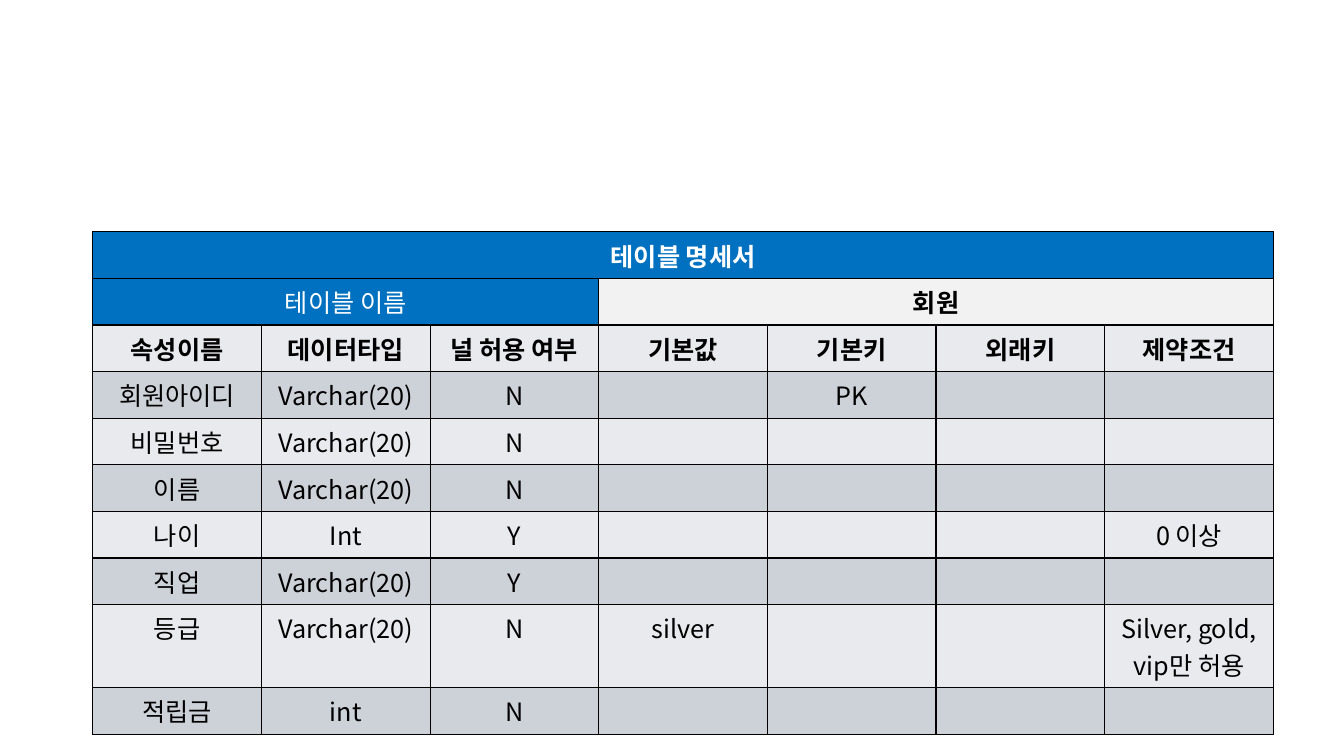
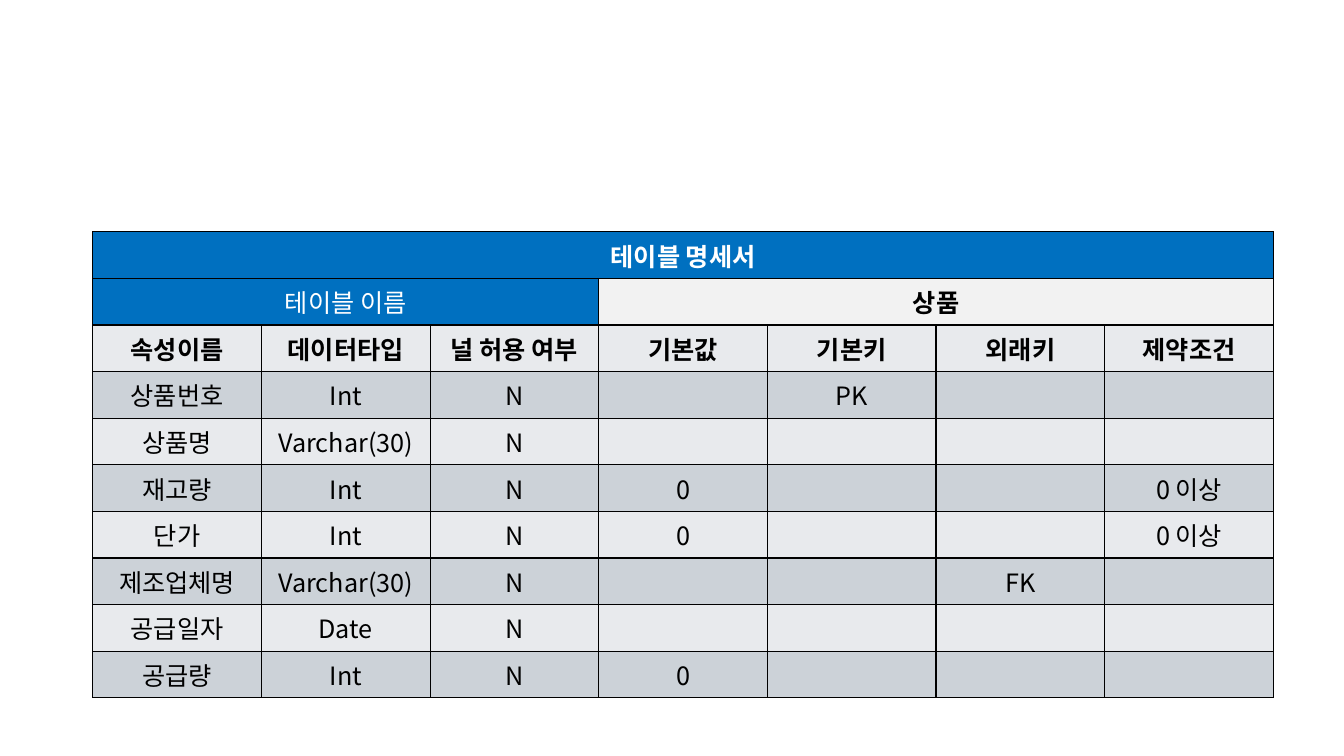
from dataclasses import dataclass

from lxml import etree
from pptx import Presentation
from pptx.dml.color import RGBColor
from pptx.enum.text import PP_ALIGN
from pptx.oxml.ns import qn
from pptx.util import Inches, Pt

CENTER = PP_ALIGN.CENTER
BLANK_LAYOUT = 6
BORDER_SIDES = ("a:lnL", "a:lnR", "a:lnT", "a:lnB")


@dataclass(frozen=True)
class Theme:
    font: str = "Noto Sans CJK KR"
    size: int = 18
    border_width: int = 1
    border: str = "000000"
    text: str = "000000"
    inverse: str = "FFFFFF"
    accent: str = "0070C0"
    name_fill: str = "F2F2F2"
    light: str = "E8EAED"
    dark: str = "CCD2D8"


TITLE = "테이블 명세서"
NAME_LABEL = "테이블 이름"
HEADERS = ["속성이름", "데이터타입", "널 허용 여부", "기본값", "기본키", "외래키", "제약조건"]
COLS = len(HEADERS)
NAME_COL = 3

LEFT, TOP, WIDTH = 0.92, 2.3, 11.71
ROW_HEIGHT, TALL_ROW_HEIGHT = 0.46, 0.82

# Table name, attribute rows, indexes of attributes that need two lines
SPECS = [
    ("회원", [
        ["회원아이디", "Varchar(20)", "N", "", "PK", "", ""],
        ["비밀번호", "Varchar(20)", "N", "", "", "", ""],
        ["이름", "Varchar(20)", "N", "", "", "", ""],
        ["나이", "Int", "Y", "", "", "", "0 이상"],
        ["직업", "Varchar(20)", "Y", "", "", "", ""],
        ["등급", "Varchar(20)", "N", "silver", "", "", "Silver, gold, vip만 허용"],
        ["적립금", "int", "N", "", "", "", ""],
    ], {5}),
    ("상품", [
        ["상품번호", "Int", "N", "", "PK", "", ""],
        ["상품명", "Varchar(30)", "N", "", "", "", ""],
        ["재고량", "Int", "N", "0", "", "", "0 이상"],
        ["단가", "Int", "N", "0", "", "", "0 이상"],
        ["제조업체명", "Varchar(30)", "N", "", "", "FK", ""],
        ["공급일자", "Date", "N", "", "", "", ""],
        ["공급량", "Int", "N", "0", "", "", ""],
    ], set()),
]


class Deck:
    def __init__(self, theme):
        self.theme = theme
        self.prs = Presentation()
        self.prs.slide_width, self.prs.slide_height = Inches(13.33), Inches(7.5)
        self.s = None

    def add_slide(self):
        self.s = self.prs.slides.add_slide(self.prs.slide_layouts[BLANK_LAYOUT])

    def add_grid(self, heights):
        """Add an unstyled table with equal columns and the given row heights."""
        frame = self.s.shapes.add_table(len(heights), COLS, Inches(LEFT), Inches(TOP),
                                        Inches(WIDTH), Inches(sum(heights)))
        table = frame.table
        table.first_row = table.horz_banding = False
        for row, height in zip(table.rows, heights):
            row.height = Inches(height)
        for cell in table.iter_cells():
            self.add_borders(cell)
        return table

    def add_borders(self, cell):
        tc_pr = cell._tc.get_or_add_tcPr()
        for side in BORDER_SIDES:
            ln = etree.SubElement(tc_pr, qn(side), w=str(Pt(self.theme.border_width)))
            fill = etree.SubElement(ln, qn("a:solidFill"))
            etree.SubElement(fill, qn("a:srgbClr"), val=self.theme.border)

    def fill_cell(self, cell, text, fill, color=None, bold=False):
        t = self.theme
        cell.fill.solid()
        cell.fill.fore_color.rgb = RGBColor.from_string(fill)
        if not text:
            return
        p = cell.text_frame.paragraphs[0]
        p.alignment = CENTER
        r = p.add_run()
        r.text = text
        for key, value in {"name": t.font, "size": Pt(t.size), "bold": bold}.items():
            setattr(r.font, key, value)
        r.font.color.rgb = RGBColor.from_string(color or t.text)
        etree.SubElement(r._r.get_or_add_rPr(), qn("a:ea"), typeface=t.font)

    def add_table_spec(self, name, attributes, tall):
        t = self.theme
        heights = [ROW_HEIGHT] * 3
        heights += [TALL_ROW_HEIGHT if i in tall else ROW_HEIGHT
                    for i in range(len(attributes))]
        table = self.add_grid(heights)

        for row, first, last, text, style in (
            (0, 0, COLS - 1, TITLE, dict(fill=t.accent, color=t.inverse, bold=True)),
            (1, 0, NAME_COL - 1, NAME_LABEL, dict(fill=t.accent, color=t.inverse)),
            (1, NAME_COL, COLS - 1, name, dict(fill=t.name_fill, bold=True)),
        ):
            table.cell(row, first).merge(table.cell(row, last))
            self.fill_cell(table.cell(row, first), text, **style)

        for i, values in enumerate([HEADERS] + attributes):
            fill = t.dark if i % 2 else t.light
            for col, text in enumerate(values):
                self.fill_cell(table.cell(i + 2, col), text, fill, bold=i == 0)


def main():
    deck = Deck(Theme())
    for spec_values in SPECS:
        deck.add_slide()
        deck.add_table_spec(*spec_values)
    deck.prs.save("out.pptx")


if __name__ == "__main__":
    main()
